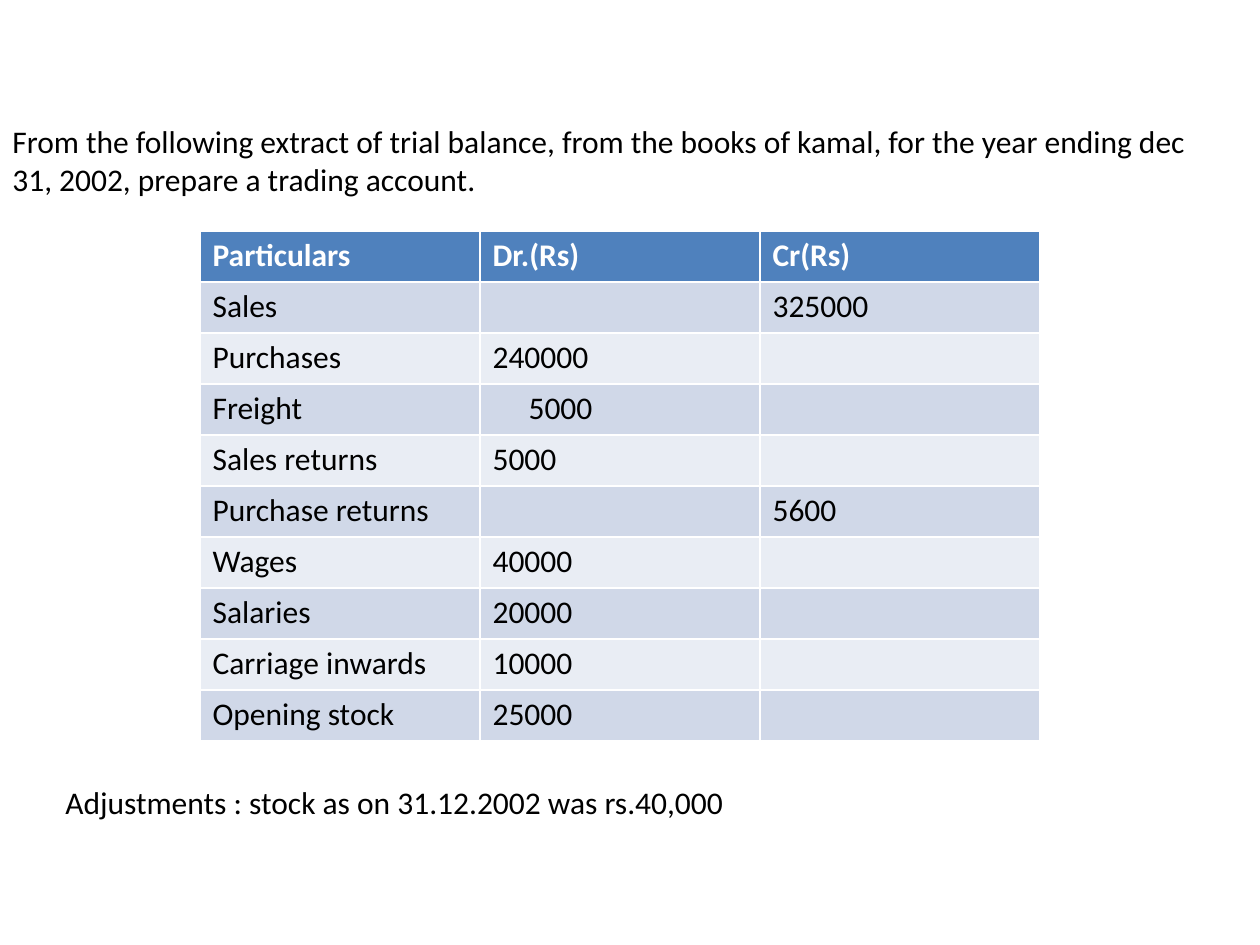
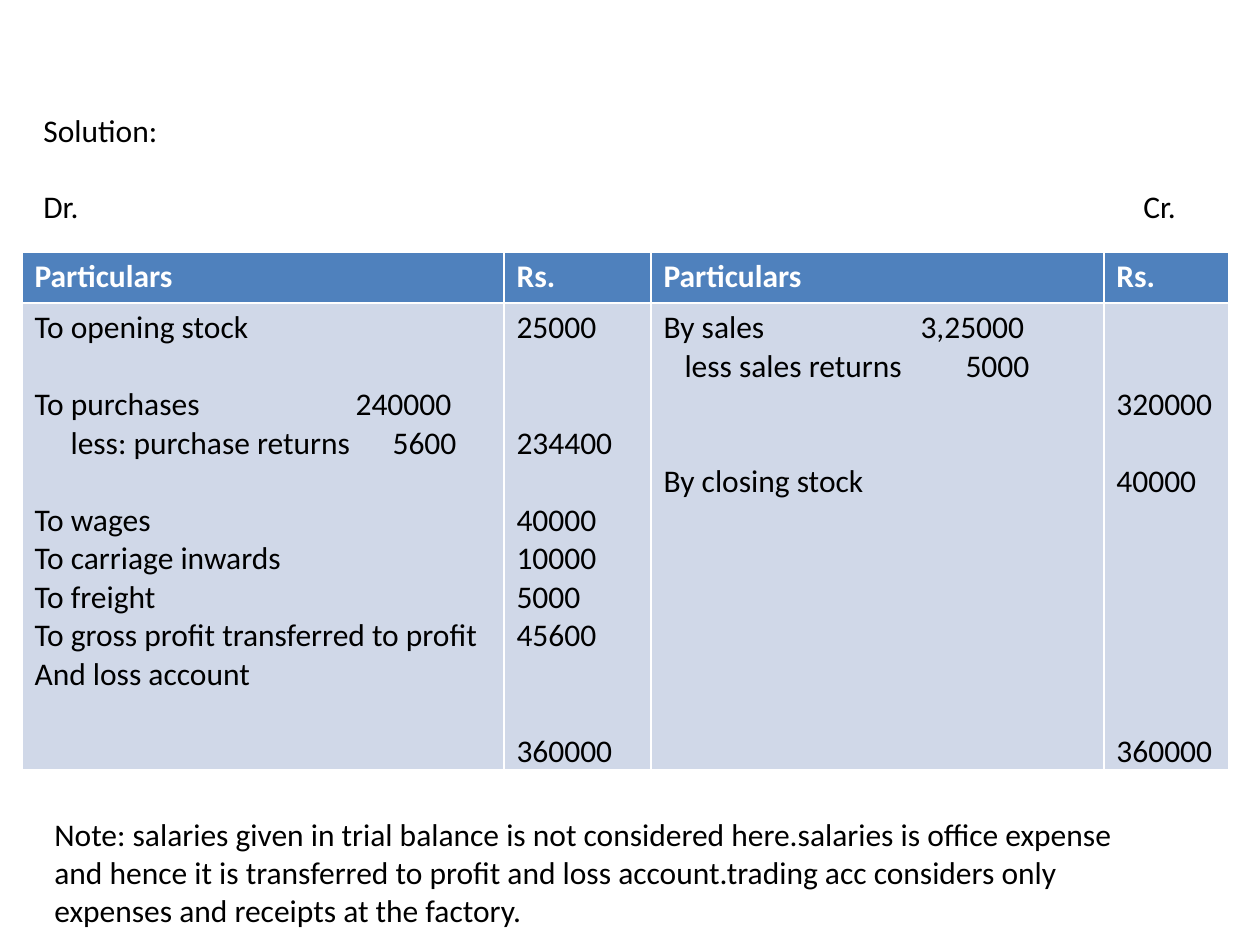
from lxml import etree
from pptx import Presentation
from pptx import util as u
from pptx.dml.color import RGBColor
from pptx.oxml import ns

PX = 914400 // 126  # EMU in one pixel
WHITE = RGBColor(0xFF, 0xFF, 0xFF)
BLACK = RGBColor(0x00, 0x00, 0x00)
HEADER_BLUE = RGBColor(0x4F, 0x81, 0xBD)
BANDS = (RGBColor(0xD0, 0xD8, 0xE8), RGBColor(0xE9, 0xED, 0xF4))
FONT, SIZE = "Calibri", u.Pt(18)
LINE = u.Pt(22)  # height of one line of text
CELL_TOP = 6 * PX


def write(frame, lines, color=BLACK, bold=False):
    """Write lines, each (text, lines of space above, tab stops in pixels)."""
    frame.word_wrap = True
    for index, (text, gap, stops) in enumerate(lines):
        para = frame.add_paragraph() if index else frame.paragraphs[0]
        if index and gap:
            para.space_before = gap * LINE
        span = para.add_run()
        span.text = text
        font = span.font
        font.name, font.size, font.bold = FONT, SIZE, bold
        font.color.rgb = color
        if stops:
            tabs = etree.SubElement(para._p.get_or_add_pPr(), ns.qn("a:tabLst"))
            for stop in stops:
                etree.SubElement(tabs, ns.qn("a:tab"), pos=str(stop * PX), algn="l")


def add_ledger(page, left, top, widths, heights, rows):
    """Add a table with a blue header; each cell is a list of lines."""
    table = page.shapes.add_table(
        len(rows), len(widths), left * PX, top * PX,
        sum(widths) * PX, sum(heights) * PX).table
    for column, width in zip(table.columns, widths):
        column.width = width * PX
    for number, (row, height, cells) in enumerate(zip(table.rows, heights, rows)):
        row.height = height * PX
        for cell, lines in zip(row.cells, cells):
            cell.fill.solid()
            cell.fill.fore_color.rgb = BANDS[(number - 1) % 2] if number else HEADER_BLUE
            cell.margin_top, cell.margin_bottom = CELL_TOP, 0
            if lines:
                cell.margin_top = CELL_TOP + lines[0][1] * LINE
                write(cell.text_frame, lines, BLACK if number else WHITE, not number)


deck = Presentation()
deck.slide_width, deck.slide_height = u.Inches(10), u.Inches(7.5)
blank = deck.slide_layouts[6]
question = deck.slides.add_slide(blank)
solution = deck.slides.add_slide(blank)

# Text around the tables
notes = [
    (question, (0, 116, 1207, 165), [
        ("From the following extract of trial balance, from the books of kamal, "
         "for the year ending dec 31, 2002, prepare a trading account.", 0, ())]),
    (question, (53, 777, 1071, 50), [
        ("Adjustments : stock as on 31.12.2002 was rs.40,000", 0, ())]),
    (solution, (31, 105, 1166, 165), [
        ("Solution:", 0, ()), ("Dr.\tCr.", 1, (1100,))]),
    (solution, (42, 809, 1124, 127), [
        ("Note: salaries given in trial balance is not considered here."
         "salaries is office expense and hence it is transferred to profit and "
         "loss account.trading acc considers only expenses and receipts at the "
         "factory.", 0, ())]),
]
for page, place, lines in notes:
    box = page.shapes.add_textbox(*(length * PX for length in place))
    write(box.text_frame, lines)

# Trial balance
balance = [
    ("Particulars", "Dr.(Rs)", "Cr(Rs)"),
    ("Sales", "", "325000"),
    ("Purchases", "240000", ""),
    ("Freight", "\t5000", ""),
    ("Sales returns", "5000", ""),
    ("Purchase returns", "", "5600"),
    ("Wages", "40000", ""),
    ("Salaries", "20000", ""),
    ("Carriage inwards", "10000", ""),
    ("Opening stock", "25000", ""),
]
balance_rows = [
    [[(text, 0, (36,) if "\t" in text else ())] if text else [] for text in row]
    for row in balance]
add_ledger(question, 200, 231, [280] * 3, [51] * len(balance), balance_rows)

# Trading account
debits = [
    ("To opening stock", 0, ()),
    ("To purchases\t240000", 1, (321,)),
    ("\tless: purchase returns\t5600", 0, (36, 358)),
    ("To wages", 1, ()),
    ("To carriage inwards", 0, ()),
    ("To freight", 0, ()),
    ("To gross profit transferred to profit", 0, ()),
    ("And loss account", 0, ()),
]
debit_amounts = [
    ("25000", 0, ()), ("234400", 2, ()), ("40000", 1, ()), ("10000", 0, ()),
    ("5000", 0, ()), ("45600", 0, ()), ("360000", 2, ()),
]
credits = [
    ("By sales\t3,25000", 0, (257,)),
    ("\tless sales returns\t5000", 0, (21, 302)),
    ("By closing stock", 2, ()),
]
credit_amounts = [("320000", 2, ()), ("40000", 1, ()), ("360000", 6, ())]
headings = [[(text, 0, ())] for text in ("Particulars", "Rs.") * 2]
add_ledger(solution, 22, 252, [482, 147, 453, 125], [51, 467],
           [headings, [debits, debit_amounts, credits, credit_amounts]])

deck.save("out.pptx")
